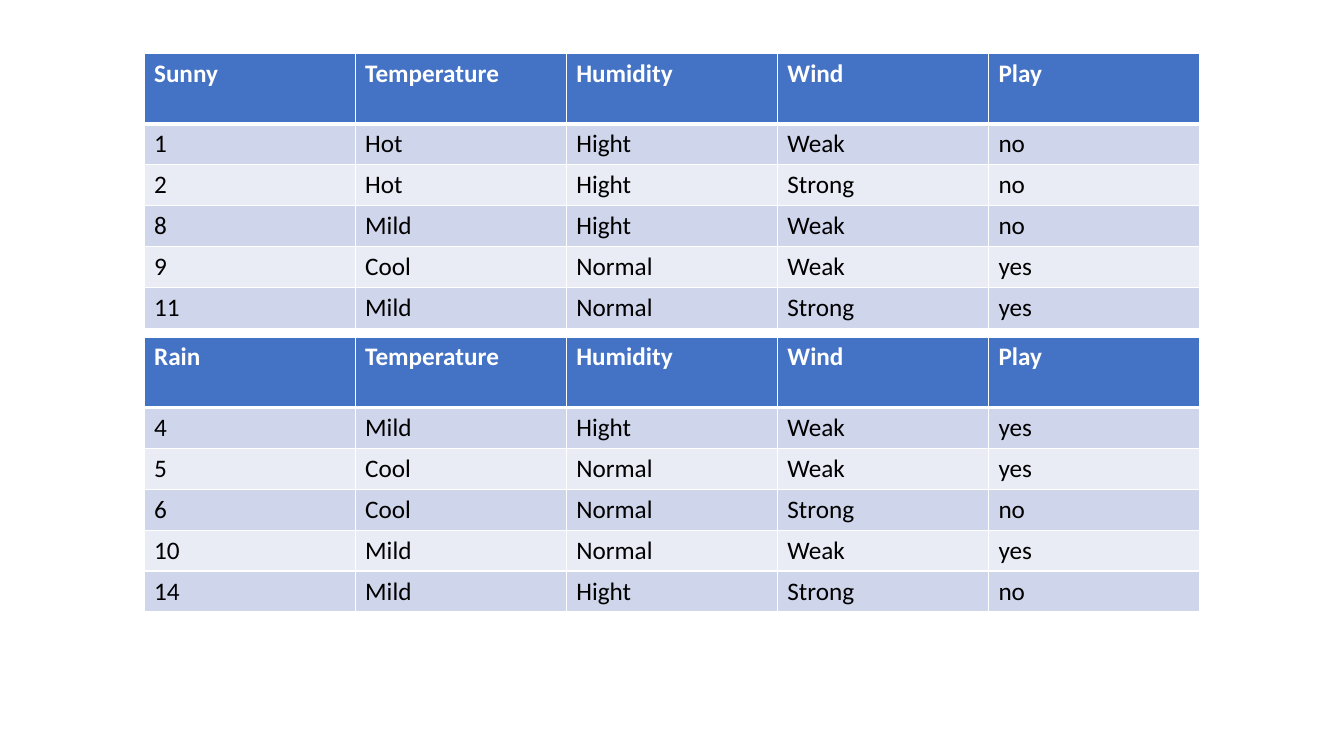
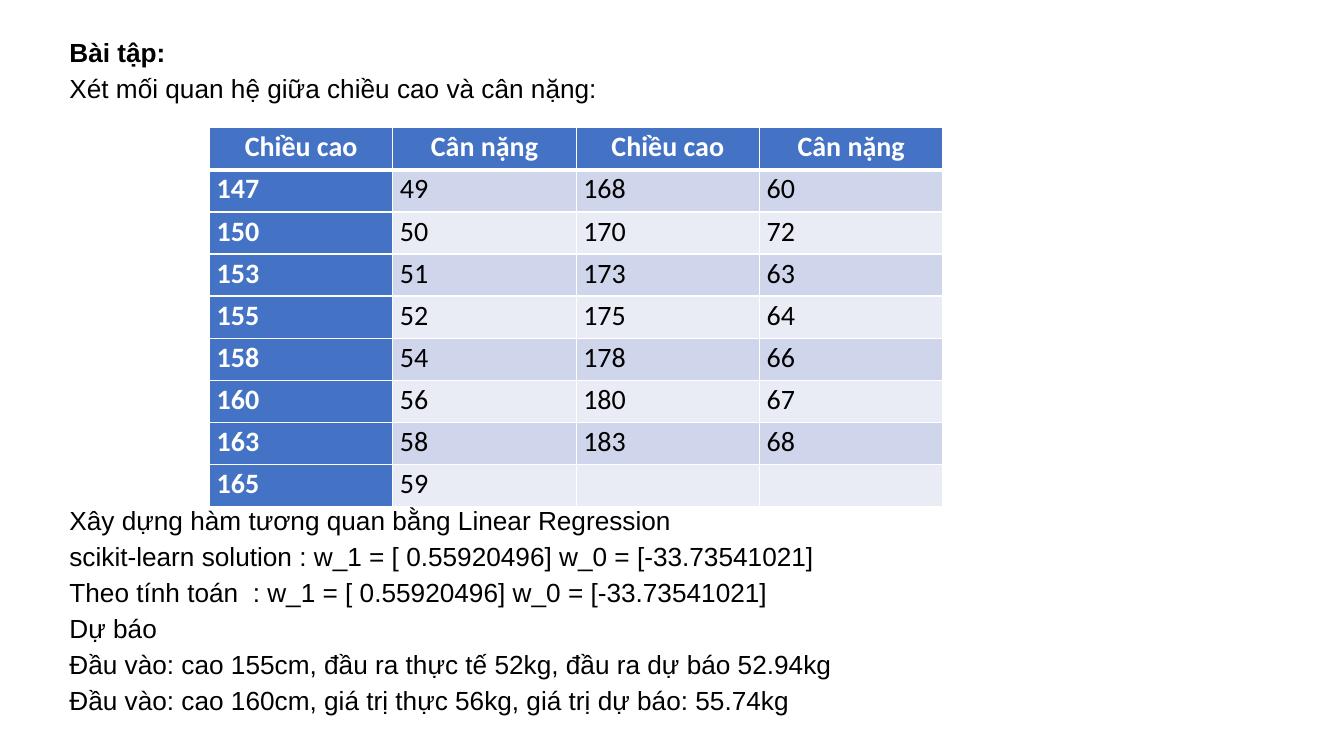
import pptx
import pptx.dml.color
import pptx.enum.text
import pptx.oxml
import pptx.oxml.ns
import pptx.util

Cm = pptx.util.Cm
Pt = pptx.util.Pt
ALIGN = pptx.enum.text.PP_ALIGN


def rgb(value):
    return pptx.dml.color.RGBColor.from_string(value)


class Deck:
    """Holds the shared style and the current slide."""

    WHITE, BLACK, BLUE = "FFFFFF", "000000", "4472C4"
    BANDS = ("CFD5EA", "E9EBF5")
    TABLE_FONT, TEXT_FONT = "Calibri", "Arial"
    TEXT_SIZE, LINE_PITCH = 18.7, 25.7

    def __init__(self):
        self.prs = pptx.Presentation()
        self.prs.slide_width, self.prs.slide_height = Cm(33.87), Cm(19.05)
        self.s = None

    def slide(self):
        self.s = self.prs.slides.add_slide(self.prs.slide_layouts[6])

    def run(self, p, text, font, size, color, bold=False):
        r = p.add_run()
        r.text = text
        r.font.name, r.font.size, r.font.bold = font, Pt(size), bold
        r.font.color.rgb = rgb(color)

    def text(self, left, top, width, lines, bold_lines=0):
        """Lines of text at a fixed pitch; the first bold_lines are bold."""
        height = Pt(self.LINE_PITCH * len(lines))
        tf = self.s.shapes.add_textbox(Cm(left), Cm(top), Cm(width), height).text_frame
        tf.word_wrap = True
        tf.margin_left = tf.margin_right = tf.margin_top = tf.margin_bottom = 0
        for i, line in enumerate(lines):
            p = tf.add_paragraph() if i else tf.paragraphs[0]
            p.line_spacing = Pt(self.LINE_PITCH)
            self.run(p, line, self.TEXT_FONT, self.TEXT_SIZE, self.BLACK, i < bold_lines)

    def borders(self, cell, widths):
        """White borders, widths in points: left, right, top, bottom."""
        tc_pr = cell._tc.get_or_add_tcPr()
        for i, (side, width) in enumerate(zip("LRTB", widths)):
            tc_pr.insert(i, pptx.oxml.parse_xml(
                f'<a:ln{side} {pptx.oxml.ns.nsdecls("a")} w="{Pt(width)}"><a:solidFill>'
                f'<a:srgbClr val="{self.WHITE}"/></a:solidFill></a:ln{side}>'))

    def table(self, left, top, col_width, row_height, rows, size=18,
              header_height=None, header_column=False, compact=False):
        """Banded table; compact cells have narrow margins and aligned text."""
        header_height = header_height or row_height
        heights = [header_height] + [row_height] * (len(rows) - 1)
        n_cols = len(rows[0])
        table = self.s.shapes.add_table(
            len(rows), n_cols, Cm(left), Cm(top),
            Cm(col_width * n_cols), Cm(sum(heights))).table
        table.first_col = header_column
        for column in table.columns:
            column.width = Cm(col_width)
        for i, values in enumerate(rows):
            table.rows[i].height = Cm(heights[i])
            for j, value in enumerate(values):
                cell = table.cell(i, j)
                is_header = i == 0 or (header_column and j == 0)
                cell.fill.solid()
                cell.fill.fore_color.rgb = rgb(
                    self.BLUE if is_header else self.BANDS[(i - 1) % 2])
                self.borders(cell, (1, 1, 3 if i == 1 else 1, 3 if i == 0 else 1))
                p = cell.text_frame.paragraphs[0]
                if compact:
                    cell.margin_left = cell.margin_right = Cm(0.18)
                    cell.margin_top = cell.margin_bottom = 0
                    p.alignment = ALIGN.JUSTIFY if i else ALIGN.CENTER
                    p.line_spacing, p.space_before = 1.07, Pt(6)
                if value:
                    self.run(p, value, self.TABLE_FONT, size,
                             self.WHITE if is_header else self.BLACK, is_header)


def weather_slide(deck):
    deck.slide()
    days_by_outlook = {
        "Sunny": ["1 Hot Hight Weak no", "2 Hot Hight Strong no",
                  "8 Mild Hight Weak no", "9 Cool Normal Weak yes",
                  "11 Mild Normal Strong yes"],
        "Rain": ["4 Mild Hight Weak yes", "5 Cool Normal Weak yes",
                 "6 Cool Normal Strong no", "10 Mild Normal Weak yes",
                 "14 Mild Hight Strong no"],
    }
    for i, (outlook, days) in enumerate(days_by_outlook.items()):
        header = [outlook, "Temperature", "Humidity", "Wind", "Play"]
        deck.table(3.63, 1.34 + 7.15 * i, 5.32, 1.03,
                   [header] + [day.split() for day in days], header_height=1.78)


def regression_slide(deck):
    deck.slide()
    left, width = 1.75, 30.7
    deck.text(left, 0.79, width, [
        "Bài tập:",
        "Xét mối quan hệ giữa chiều cao và cân nặng:",
    ], bold_lines=1)
    deck.text(left, 12.59, width, [
        "Xây dựng hàm tương quan bằng Linear Regression",
        "scikit-learn solution : w_1 = [ 0.55920496] w_0 = [-33.73541021]",
        "Theo tính toán  : w_1 = [ 0.55920496] w_0 = [-33.73541021]",
        "Dự báo",
        "Đầu vào: cao 155cm, đầu ra thực tế 52kg, đầu ra dự báo 52.94kg",
        "Đầu vào: cao 160cm, giá trị thực 56kg, giá trị dự báo: 55.74kg",
    ])
    deck.table(5.28, 3.22, 4.62, 1.06, [
        ["Chiều cao", "Cân nặng"] * 2,
        ["147", "49", "168", "60"],
        ["150", "50", "170", "72"],
        ["153", "51", "173", "63"],
        ["155", "52", "175", "64"],
        ["158", "54", "178", "66"],
        ["160", "56", "180", "67"],
        ["163", "58", "183", "68"],
        ["165", "59", "", ""],
    ], size=20, header_column=True, compact=True)


def main():
    deck = Deck()
    weather_slide(deck)
    regression_slide(deck)
    deck.prs.save("out.pptx")


if __name__ == "__main__":
    main()
